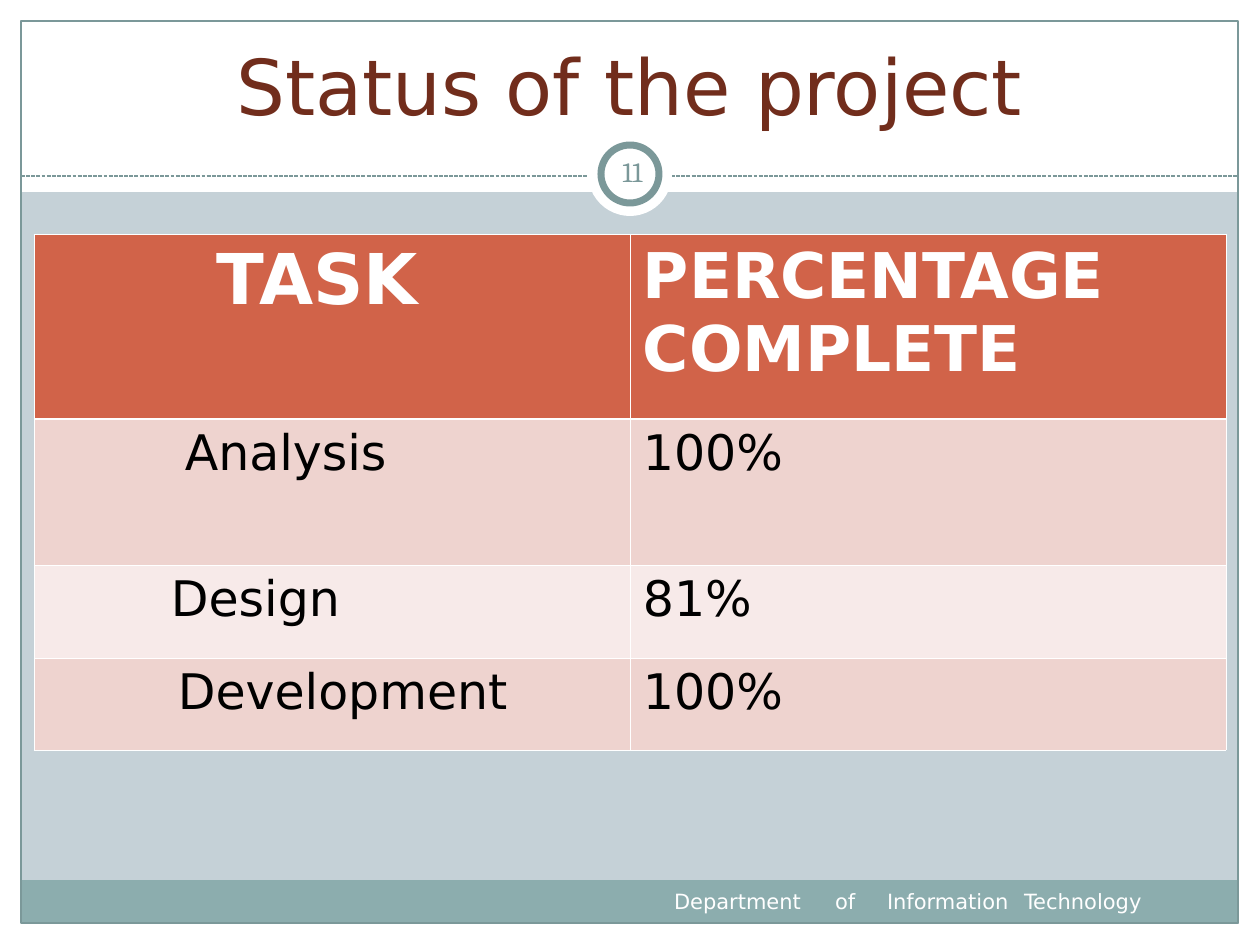
from dataclasses import dataclass

from lxml import etree
from pptx import Presentation
from pptx.dml.color import RGBColor
from pptx.enum.dml import MSO_LINE
from pptx.enum.shapes import MSO_CONNECTOR, MSO_SHAPE
from pptx.enum.text import MSO_ANCHOR, MSO_AUTO_SIZE, PP_ALIGN
from pptx.oxml.ns import qn
from pptx.util import Emu, Pt

RECT, OVAL = MSO_SHAPE.RECTANGLE, MSO_SHAPE.OVAL
LEFT, CENTER = PP_ALIGN.LEFT, PP_ALIGN.CENTER
TOP, MIDDLE, BOTTOM = MSO_ANCHOR.TOP, MSO_ANCHOR.MIDDLE, MSO_ANCHOR.BOTTOM

WHITE = RGBColor(0xFF, 0xFF, 0xFF)
BLACK = RGBColor(0x00, 0x00, 0x00)
BACKDROP = RGBColor(0xC5, 0xD1, 0xD7)
FOOTER_TEAL = RGBColor(0x8C, 0xAD, 0xAE)
FRAME_TEAL = RGBColor(0x7B, 0x98, 0x99)
TITLE_BROWN = RGBColor(0x71, 0x2D, 0x1C)
HEADER_RED = RGBColor(0xD1, 0x63, 0x49)
BAND_DARK = RGBColor(0xEE, 0xD3, 0xCF)
BAND_LIGHT = RGBColor(0xF7, 0xEA, 0xE9)

SANS, SERIF = "DejaVu Sans", "Cambria"
PX_PER_INCH = 126
SLIDE_W, SLIDE_H = 1260, 945
MARGIN = 21
INSET_X, INSET_Y = 13, 6
THIN, THICK = 0.45, 1.47


@dataclass(frozen=True)
class Panel:
    box: tuple[int, int, int, int]
    fill: RGBColor | None = None
    line: RGBColor | None = None
    line_pt: float = 0.75
    kind: int = RECT


@dataclass(frozen=True)
class TaskRow:
    height: int
    task: str
    indent: int
    percent: str
    fill: RGBColor
    sizes: tuple[int, int] = (28, 28)
    is_header: bool = False


BACK_PANELS = (
    Panel((0, 924, SLIDE_W, MARGIN), WHITE),
    Panel((0, 0, SLIDE_W, 192), WHITE),
    Panel((0, 0, MARGIN, SLIDE_H), WHITE),
    Panel((SLIDE_W - MARGIN, 0, MARGIN, SLIDE_H), WHITE),
    Panel((MARGIN, 880, 1217, 43), FOOTER_TEAL),
    Panel((MARGIN, MARGIN, 1217, 902), line=FRAME_TEAL),
)
NUMBER_RINGS = (
    Panel((588, 132, 84, 84), WHITE, kind=OVAL),
    Panel((601, 145, 58, 58), WHITE, FRAME_TEAL, 4, OVAL),
)
TASK_ROWS = (
    TaskRow(185, "TASK", 183, "PERCENTAGE COMPLETE", HEADER_RED, (40, 36), True),
    TaskRow(146, "Analysis", 151, "100%", BAND_DARK),
    TaskRow(93, "Design", 137, "81%", BAND_LIGHT),
    TaskRow(92, "Development", 144, "100%", BAND_DARK),
)
FOOTER_TABS = (161, 213, 350)


def px(length: int) -> Emu:
    return Emu(round(length * 914400 / PX_PER_INCH))


def write_text(frame, text: str, *, size: float, color: RGBColor, font: str = SANS,
               bold: bool = False, align=LEFT) -> None:
    paragraph = frame.paragraphs[0]
    paragraph.alignment = align
    run = paragraph.add_run()
    run.text = text
    run.font.name = font
    run.font.size = Pt(size)
    run.font.bold = bold
    run.font.color.rgb = color


def set_insets(target, left: int, top: int = INSET_Y, right: int = INSET_X) -> None:
    """Set the inner margins of a table cell or a text frame."""
    target.margin_left, target.margin_right = px(left), px(right)
    target.margin_top = target.margin_bottom = px(top)


def draw_panel(shapes, panel: Panel) -> None:
    shape = shapes.add_shape(panel.kind, *map(px, panel.box))
    shape.shadow.inherit = False
    if panel.fill is None:
        shape.fill.background()
    else:
        shape.fill.solid()
        shape.fill.fore_color.rgb = panel.fill
    if panel.line is None:
        shape.line.fill.background()
    else:
        shape.line.color.rgb = panel.line
        shape.line.width = Pt(panel.line_pt)


def draw_divider(shapes) -> None:
    divider = shapes.add_connector(MSO_CONNECTOR.STRAIGHT, px(MARGIN), px(176),
                                   px(SLIDE_W - MARGIN), px(176))
    divider.line.color.rgb = FRAME_TEAL
    divider.line.width = Pt(0.75)
    divider.line.dash_style = MSO_LINE.SQUARE_DOT
    etree.SubElement(divider.element.spPr, qn("a:effectLst"))


def add_label(shapes, box: tuple[int, int, int, int], anchor):
    frame = shapes.add_textbox(*map(px, box)).text_frame
    frame.word_wrap = True
    frame.vertical_anchor = anchor
    return frame


def add_tab_stops(paragraph, stops: tuple[int, ...]) -> None:
    tab_list = etree.SubElement(paragraph._p.get_or_add_pPr(), qn("a:tabLst"))
    for stop in stops:
        etree.SubElement(tab_list, qn("a:tab"), pos=str(px(stop)), algn="l")


def set_borders(cell, top: float, bottom: float) -> None:
    """Give the cell white borders; the fill must be set afterwards."""
    properties = cell._tc.get_or_add_tcPr()
    for side, width in (("L", THIN), ("R", THIN), ("T", top), ("B", bottom)):
        border = etree.SubElement(properties, qn(f"a:ln{side}"), w=str(Pt(width)))
        solid = etree.SubElement(border, qn("a:solidFill"))
        etree.SubElement(solid, qn("a:srgbClr"), val=str(WHITE))


def draw_status_table(shapes) -> None:
    height = sum(row.height for row in TASK_ROWS)
    table = shapes.add_table(len(TASK_ROWS), 2, px(34), px(234), px(1192), px(height)).table
    for column in table.columns:
        column.width = px(596)
    for index, row in enumerate(TASK_ROWS):
        table.rows[index].height = px(row.height)
        top = THICK if index == 1 else THIN
        bottom = THICK if row.is_header else THIN
        contents = zip((row.task, row.percent), (row.indent, INSET_X), row.sizes)
        for column, (text, indent, size) in enumerate(contents):
            cell = table.cell(index, column)
            set_borders(cell, top, bottom)
            cell.fill.solid()
            cell.fill.fore_color.rgb = row.fill
            set_insets(cell, indent)
            write_text(cell.text_frame, text, size=size, bold=row.is_header,
                       color=WHITE if row.is_header else BLACK)


def place_title(slide) -> None:
    title = slide.shapes.title
    title.left, title.top, title.width, title.height = map(px, (42, 32, 1176, 105))
    frame = title.text_frame
    frame.auto_size = MSO_AUTO_SIZE.NONE
    frame.word_wrap = True
    frame.vertical_anchor = BOTTOM
    set_insets(frame, INSET_X)
    write_text(frame, "Status of the project", size=44, color=TITLE_BROWN, align=CENTER)
    # The title belongs in front of the white panels.
    title.element.getparent().append(title.element)


def main() -> None:
    deck = Presentation()
    deck.slide_width, deck.slide_height = px(SLIDE_W), px(SLIDE_H)
    slide = deck.slides.add_slide(deck.slide_layouts[5])
    slide.background.fill.solid()
    slide.background.fill.fore_color.rgb = BACKDROP
    shapes = slide.shapes

    for panel in BACK_PANELS:
        draw_panel(shapes, panel)
    draw_divider(shapes)
    for ring in NUMBER_RINGS:
        draw_panel(shapes, ring)
    place_title(slide)
    draw_status_table(shapes)

    footer = add_label(shapes, (630, 883, 596, 50), TOP)
    set_insets(footer, 44)
    add_tab_stops(footer.paragraphs[0], FOOTER_TABS)
    write_text(footer, "Department\tof\tInformation\tTechnology", size=12, color=WHITE)

    page_number = add_label(shapes, (601, 141, 63, 60), MIDDLE)
    set_insets(page_number, INSET_Y, right=INSET_Y)
    write_text(page_number, "11", size=16, color=FRAME_TEAL, font=SERIF, align=CENTER)

    deck.save("out.pptx")


if __name__ == "__main__":
    main()
